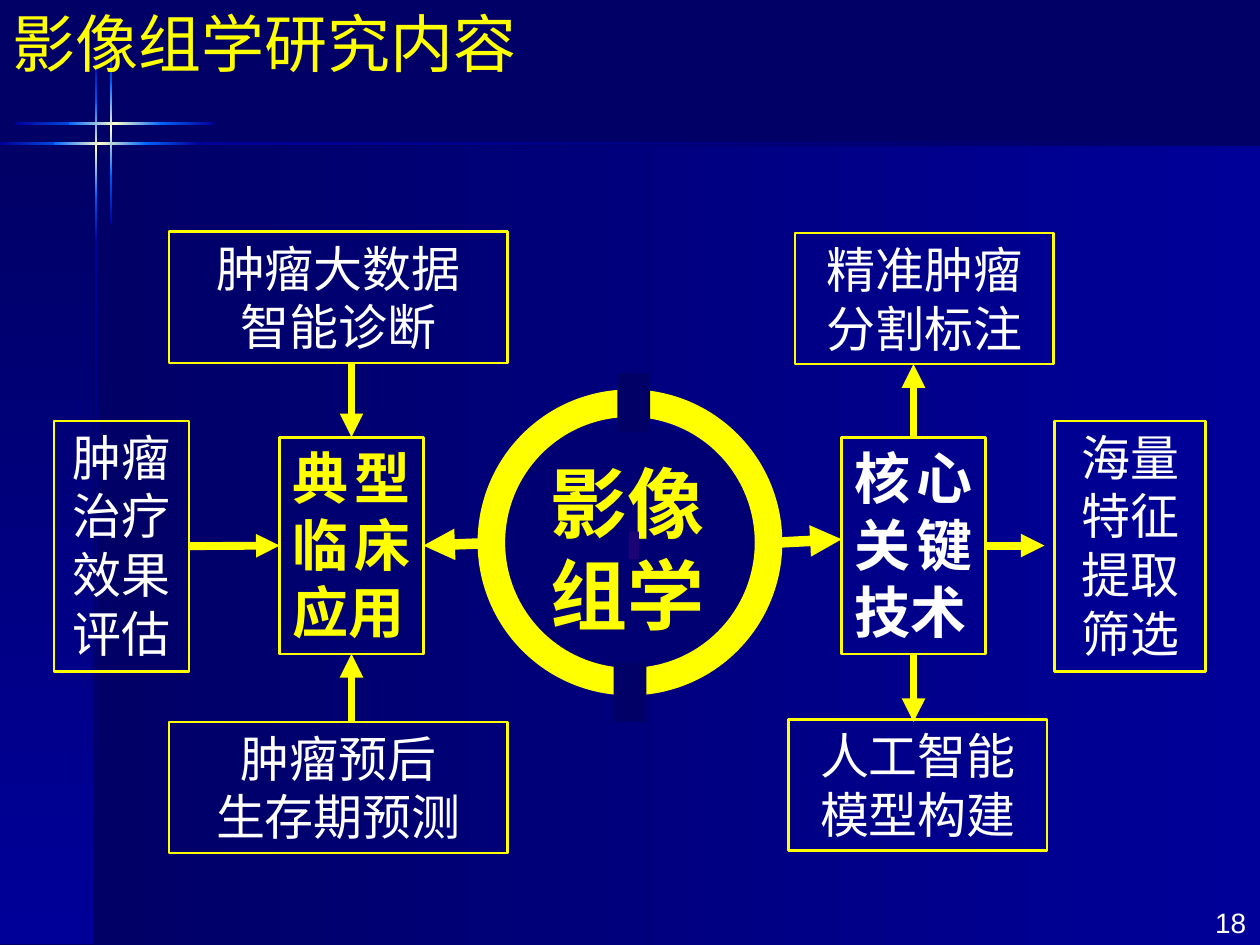
from copy import deepcopy
from typing import NamedTuple

from pptx import Presentation
from pptx import util as u
from pptx.dml.color import RGBColor
from pptx.enum import shapes, text
from pptx.oxml.ns import qn
from lxml import etree

NAVY = RGBColor(0x00, 0x00, 0x66)
DEEP_BLUE = RGBColor(0x00, 0x00, 0x99)
BRIGHT_BLUE = RGBColor(0x00, 0x66, 0xFF)
CREAM = RGBColor(0xFF, 0xFF, 0xCC)
DISC_BLUE = RGBColor(0x00, 0x00, 0x73)
VIOLET = RGBColor(0x1C, 0x04, 0x76)
YELLOW = RGBColor(0xFF, 0xFF, 0x00)
WHITE = RGBColor(0xFF, 0xFF, 0xFF)

CELL = u.Inches(0.1)
COLUMNS, ROWS = 100, 75
RECTANGLE = shapes.MSO_SHAPE.RECTANGLE
OVAL = shapes.MSO_SHAPE.OVAL
TOP, LEFT, BOTTOM, RIGHT = range(4)
FADE_IN, FADE_OUT = (DEEP_BLUE, BRIGHT_BLUE), (BRIGHT_BLUE, DEEP_BLUE)
GLOW = (BRIGHT_BLUE, CREAM, BRIGHT_BLUE)


class Box(NamedTuple):
    """An area measured in grid columns and rows."""
    left: float
    top: float
    width: float
    height: float

    def area(self, left, top, width, height):
        return Box(self.left + left, self.top + top, width, height)

    def point(self, across, down):
        return self.left + across, self.top + down

    def emu(self):
        return [cells(value) for value in self]


def cells(count):
    return u.Emu(round(count * CELL))


def add_block(page, box, kind=RECTANGLE, fill=None, line=None, line_width=1.5):
    block = page.shapes.add_shape(kind, *box.emu())
    block.shadow.inherit = False
    if fill is None:
        block.fill.background()
    else:
        block.fill.solid()
        block.fill.fore_color.rgb = fill
    if line is None:
        block.line.fill.background()
    else:
        block.line.color.rgb = line
        block.line.width = u.Pt(line_width)
    return block


def add_gradient(page, box, colours, vertical=False):
    block = add_block(page, box)
    block.fill.gradient()
    block.fill.gradient_angle = 270 if vertical else 0
    stop_list = block._element.spPr.find(qn("a:gradFill")).find(qn("a:gsLst"))
    for _ in colours[2:]:
        stop_list.append(deepcopy(stop_list[-1]))
    for index, (stop, colour) in enumerate(zip(block.fill.gradient_stops, colours)):
        stop.position = index / (len(colours) - 1)
        stop.color.rgb = colour


def write(shape, lines, size, colour, align, bold=False, side_inset=0.1,
          anchor=text.MSO_ANCHOR.TOP):
    frame = shape.text_frame
    frame.text = "\n".join(lines)
    frame.word_wrap = True
    frame.vertical_anchor = anchor
    frame.margin_left = frame.margin_right = u.Inches(side_inset)
    frame.margin_top = frame.margin_bottom = u.Inches(0.05)
    for para in frame.paragraphs:
        para.alignment = align
        for span in para.runs:
            span.font.name = "Arial"
            span.font.size = u.Pt(size)
            span.font.bold = bold
            span.font.color.rgb = colour


def add_arrow(page, start, end, width=4.5):
    arrow = page.shapes.add_connector(
        shapes.MSO_CONNECTOR.STRAIGHT, *(cells(value) for value in (*start, *end)))
    arrow.line.color.rgb = YELLOW
    arrow.line.width = u.Pt(width)
    outline = arrow._element.spPr.find(qn("a:ln"))
    etree.SubElement(outline, qn("a:tailEnd"), type="triangle")
    etree.SubElement(arrow._element.spPr, qn("a:effectLst"))
    return arrow


def draw_cross(page, box):
    """Two crossing light streaks that fade out at their ends."""
    for start, length, colours in [(11.4, 4.4, FADE_OUT), (0, 6.1, FADE_IN),
                                   (4.3, 7.3, GLOW)]:
        add_gradient(page, box.area(start, 11.3, length, 0.2), colours)
    for start, length, colours in [(15, 4.4, FADE_OUT), (4.4, 4.4, FADE_IN),
                                   (8.2, 7.3, GLOW)]:
        add_gradient(page, box.area(7.5, start, 0.2, length), colours, vertical=True)


def draw_backdrop(page, box):
    page.background.fill.solid()
    page.background.fill.fore_color.rgb = NAVY
    rise, fall = (NAVY, DEEP_BLUE), (DEEP_BLUE, NAVY)
    add_gradient(page, box.area(7.5, 11.6, 92.5, 63.4), rise)
    add_gradient(page, box.area(0, 11.5, 7.5, 63.4), rise, vertical=True)
    add_gradient(page, box.area(7.5, 0.2, 0.2, 12.1), rise, vertical=True)
    add_gradient(page, box.area(7.5, 19.4, 0.2, 46.8), fall, vertical=True)
    add_gradient(page, box.area(15.3, 11.3, 82.3, 0.2), fall)
    draw_cross(page, box)
    draw_cross(page, box.area(1.2, -1.6, box.width, box.height))


def draw_heading(page, box, title, number):
    heading = page.shapes.add_textbox(*box.area(0, -0.1, 99.6, 7.1).emu())
    write(heading, [title], 36, YELLOW, text.PP_ALIGN.LEFT)
    corner = page.shapes.add_textbox(*box.area(90.2, 71.4, 9.8, 3.7).emu())
    write(corner, [number], 16, WHITE, text.PP_ALIGN.RIGHT, side_inset=0.11)


def draw_core(page, box, label, colour):
    core = add_block(page, box, line=YELLOW)
    write(core, [label], 32, colour, text.PP_ALIGN.JUSTIFY, bold=True)
    return core


def draw_topics(page, topics):
    blocks = []
    for box, lines in topics:
        block = add_block(page, box, line=YELLOW)
        write(block, lines, 28, WHITE, text.PP_ALIGN.CENTER)
        blocks.append(block)
    return blocks


def draw_applications(page, box):
    """Topics whose arrows run into the core on their right."""
    core = draw_core(page, box.area(17.9, 16.3, 11.4, 17.2), "典型临床应用", YELLOW)
    _, side, _ = draw_topics(page, [
        (box.area(9.1, 0, 26.9, 10.4), ["肿瘤大数据", "智能诊断"]),
        (box.area(0, 15, 10.7, 19.9), ["肿瘤治疗效果评估"]),
        (box.area(9.1, 38.9, 26.9, 10.4), ["肿瘤预后", "生存期预测"])])
    for start, site in [((23.6, 10.5), TOP), ((10.7, 24.9), LEFT),
                        ((23.6, 38.9), BOTTOM)]:
        arrow = add_arrow(page, box.point(*start), box.point(23.6, 24.9))
        arrow.end_connect(core, site)
        if site == LEFT:
            arrow.begin_connect(side, RIGHT)
    return core


def draw_techniques(page, box):
    """Topics reached by arrows that leave the core on their left."""
    core = draw_core(page, box.area(4.2, 16.3, 11.4, 17.2), "核心关键技术", WHITE)
    draw_topics(page, [
        (box.area(0.5, 0.1, 20.5, 10.4), ["精准肿瘤", "分割标注"]),
        (box.area(21.1, 15, 12, 19.9), ["海量特征提取筛选"]),
        (box.area(0, 38.7, 20.5, 10.4), ["人工智能", "模型构建"])])
    for end, site in [((9.9, 10.5), TOP), ((20.3, 24.9), RIGHT),
                      ((9.9, 38.9), BOTTOM)]:
        arrow = add_arrow(page, box.point(9.9, 24.9), box.point(*end))
        arrow.begin_connect(core, site)


def draw_hub(page, box, applications):
    """The notched ring, its label and the arrows to both cores."""
    disc = add_block(page, box.area(0, 4, 22.3, 19.7), OVAL, fill=DISC_BLUE)
    write(disc, ["影像组学"], 44, YELLOW, text.PP_ALIGN.CENTER, bold=True,
          side_inset=0.11, anchor=text.MSO_ANCHOR.MIDDLE)
    add_block(page, box.area(11.2, 12.6, 0.8, 2.2), fill=VIOLET)
    to_left = add_arrow(page, box.point(0.3, 13.5), box.point(-5, 13.7), 6)
    to_left.end_connect(applications, RIGHT)
    add_arrow(page, box.point(22.3, 13.5), box.point(28.1, 13.2), 6)
    add_block(page, box.area(0.3, 2.4, 22, 22.1), OVAL, line=YELLOW, line_width=15.75)
    for left, top in [(10.3, 0), (10, 23)]:
        add_block(page, box.area(left, top, 2.6, 4.7), fill=NAVY)


def main():
    deck = Presentation()
    deck.slide_width, deck.slide_height = cells(COLUMNS), cells(ROWS)
    page = deck.slides.add_slide(deck.slide_layouts[6])
    whole = Box(0, 0, COLUMNS, ROWS)
    draw_backdrop(page, whole)
    draw_heading(page, whole, "影像组学研究内容", "18")
    applications = draw_applications(page, whole.area(4.3, 18.4, 36, 49.3))
    draw_techniques(page, whole.area(62.6, 18.4, 33.1, 49.3))
    draw_hub(page, whole.area(38.7, 29.6, 22.3, 27.7), applications)
    deck.save("out.pptx")


if __name__ == "__main__":
    main()
